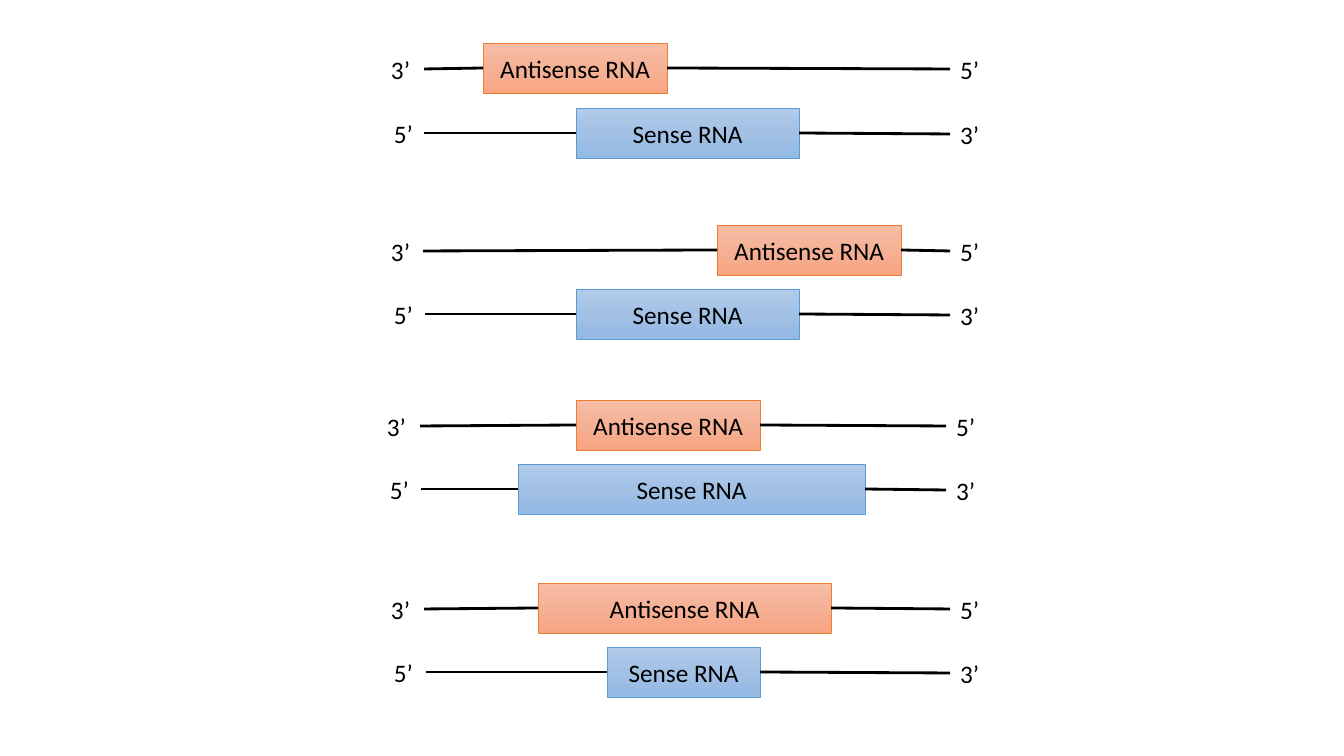
"""Draw four arrangements of overlapping sense and antisense RNA strands."""
from copy import deepcopy

from lxml.etree import SubElement
from pptx import Presentation
from pptx.dml.color import RGBColor
from pptx.enum.shapes import MSO_CONNECTOR as Connector, MSO_SHAPE as Preset
from pptx.enum.text import MSO_ANCHOR as Anchor, MSO_AUTO_SIZE as AutoSize, PP_ALIGN as Align
from pptx.oxml.ns import qn
from pptx.util import Inches, Pt

PIXEL = Inches(1) / 100.8
BLACK = RGBColor(0x00, 0x00, 0x00)
BLUE_EDGE = RGBColor(0x5B, 0x9B, 0xD5)
BLUE_FADE = (RGBColor(0xB1, 0xCB, 0xE9), RGBColor(0xA3, 0xC1, 0xE5), RGBColor(0x93, 0xB9, 0xE4))
ORANGE_EDGE = RGBColor(0xED, 0x7D, 0x31)
ORANGE_FADE = (RGBColor(0xF7, 0xBD, 0xA5), RGBColor(0xF5, 0xB1, 0x96), RGBColor(0xF8, 0xA5, 0x82))

BOX_HEIGHT = 50
LABEL_WIDTH, LABEL_HEIGHT = 43, 40


def px(*lengths):
    return [round(length * PIXEL) for length in lengths]


class Sketch:
    def __init__(self, slide):
        self.slide = slide
        self.group = None
        self.font, self.size = "Calibri", Pt(18)

    def start_group(self):
        self.group = self.slide.shapes.add_group_shape().shapes

    def add_text(self, paragraph, text):
        run = paragraph.add_run()
        run.text = text
        run.font.name, run.font.size = self.font, self.size
        run.font.color.rgb = BLACK

    def box(self, left, top, width, text, fade, edge):
        box = self.group.add_shape(Preset.RECTANGLE, *px(left, top, width, BOX_HEIGHT))
        box.shadow.inherit = False
        box.fill.gradient()
        box.fill.gradient_angle = 270
        stops = box._element.spPr.find(qn("a:gradFill")).find(qn("a:gsLst"))
        stops.insert(1, deepcopy(stops[0]))
        for stop, position, color in zip(box.fill.gradient_stops, (0, 0.5, 1), fade):
            stop.position, stop.color.rgb = position, color
        box.line.color.rgb, box.line.width = edge, Pt(0.5)
        box.text_frame.vertical_anchor = Anchor.MIDDLE
        paragraph = box.text_frame.paragraphs[0]
        paragraph.alignment = Align.CENTER
        self.add_text(paragraph, text)

    def label(self, left, middle, text):
        frame = self.group.add_textbox(
            *px(left, middle - LABEL_HEIGHT / 2, LABEL_WIDTH, LABEL_HEIGHT)).text_frame
        frame.word_wrap = True
        frame.auto_size = AutoSize.SHAPE_TO_FIT_TEXT
        self.add_text(frame.paragraphs[0], text)

    def line(self, *ends):
        line = self.group.add_connector(Connector.STRAIGHT, *px(*ends))
        line.line.color.rgb, line.line.width = BLACK, Pt(2)
        SubElement(line._element.spPr, qn("a:effectLst"))

    def strand(self, kind, top, start, box_left, box_width, end):
        name, fade, edge, left_text, right_text, label_reach, left_drop = kind
        middle = top + BOX_HEIGHT / 2
        box_right = box_left + box_width
        self.box(box_left, top, box_width, name, fade, edge)
        self.label(end - label_reach, middle + left_drop, left_text)
        self.line(box_left, middle, start, middle + left_drop)
        self.line(end, middle + 1, box_right, middle)
        self.label(end, middle + 1, right_text)


SENSE = ("Sense RNA", BLUE_FADE, BLUE_EDGE, "5’", "3’", 566, 0)
ANTISENSE = ("Antisense RNA", ORANGE_FADE, ORANGE_EDGE, "3’", "5’", 569, 1)

ARRANGEMENTS = [
    (950, (108, 424, 576, 223), (43, 424, 483, 184)),
    (950, (289, 425, 576, 223), (225, 423, 717, 184)),
    (946, (464, 421, 518, 347), (400, 420, 576, 184)),
    (950, (647, 426, 607, 153), (583, 424, 538, 293)),
]

deck = Presentation()
deck.slide_width, deck.slide_height = Inches(13.33), Inches(7.5)
sketch = Sketch(deck.slides.add_slide(deck.slide_layouts[6]))
for strand_end, sense, antisense in ARRANGEMENTS:
    sketch.start_group()
    sketch.strand(SENSE, *sense, strand_end)
    sketch.strand(ANTISENSE, *antisense, strand_end)
deck.save("out.pptx")
